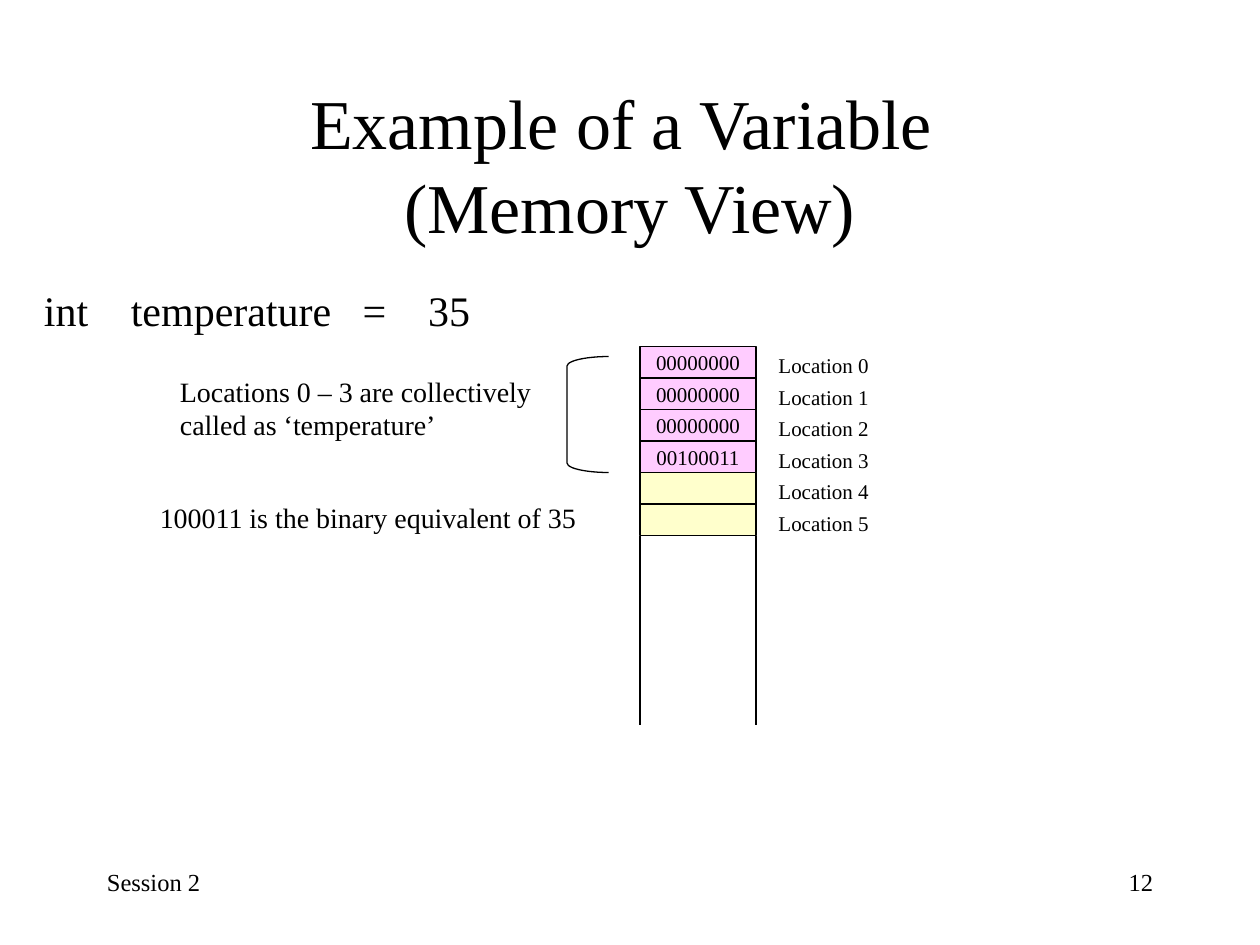
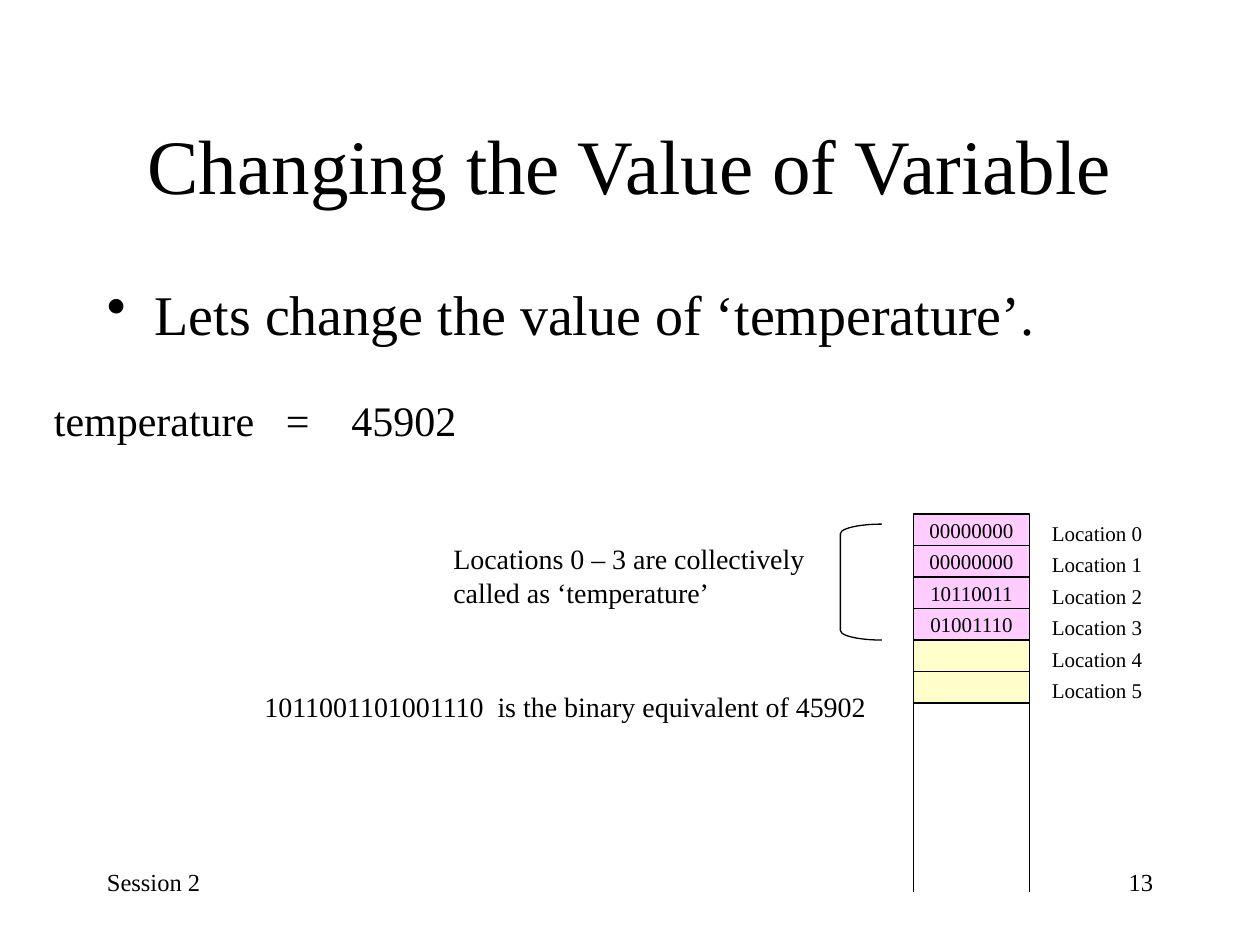
from lxml import etree
from pptx import Presentation
from pptx.dml.color import RGBColor
from pptx.enum.shapes import MSO_CONNECTOR as Connector, MSO_SHAPE as Shape
from pptx.enum.text import MSO_ANCHOR as Anchor, MSO_AUTO_SIZE as AutoSize, PP_ALIGN as Align
from pptx.oxml.ns import qn
from pptx.util import Inches, Pt

FONT = "Times New Roman"
INK, USED, FREE = "000000", "FFCCFF", "FFFFCC"
CELL_W, CELL_H, CELL_COUNT = 0.92, 0.25, 6
RAIL_H = 1.5


def color(hex_value):
    return RGBColor.from_string(hex_value)


def box(left, top, width, height):
    return [Inches(v) for v in (left, top, width, height)]


class Deck:
    """Holds the shared style and the slide being built."""

    def __init__(self):
        self.file = Presentation()
        self.file.slide_width, self.file.slide_height = Inches(10), Inches(7.5)
        self.slide = None

    def new_slide(self, title, size, number):
        self.slide = self.file.slides.add_slide(self.file.slide_layouts[6])
        # Footer and title
        self.text((0.75, 6.83, 2.08, 0.5), "Session 2", 14)
        self.text((7.17, 6.83, 2.08, 0.5), str(number), 14, alignment=Align.RIGHT)
        self.text((0.75, 0.67, 8.5, 1.25), title, size,
                  anchor=Anchor.MIDDLE, alignment=Align.CENTER)

    def fill_frame(self, frame, words, size, wrap=True, grow=False, anchor=Anchor.TOP,
                   **paragraph_format):
        frame.text = words
        frame_format = {"word_wrap": wrap, "vertical_anchor": anchor,
                        "auto_size": AutoSize.SHAPE_TO_FIT_TEXT if grow else AutoSize.NONE}
        for name, value in frame_format.items():
            setattr(frame, name, value)
        for paragraph in frame.paragraphs:
            for name, value in paragraph_format.items():
                setattr(paragraph, name, value)
            for run in paragraph.runs:
                for name, value in {"name": FONT, "size": Pt(size)}.items():
                    setattr(run.font, name, value)
                run.font.color.rgb = color(INK)

    def text(self, place, words, size, **text_format):
        frame = self.slide.shapes.add_textbox(*box(*place)).text_frame
        self.fill_frame(frame, words, size, **text_format)
        return frame.paragraphs[0]

    def tabbed(self, place, words, size, stops, **text_format):
        paragraph = self.text(place, words, size, **text_format)
        tabs = etree.SubElement(paragraph._p.get_or_add_pPr(), qn("a:tabLst"))
        for stop in stops:
            etree.SubElement(tabs, qn("a:tab"), pos=str(Inches(stop)), algn="l")

    def bullet(self, place, words, size, **text_format):
        properties = self.text(place, words, size, **text_format)._p.get_or_add_pPr()
        properties.set("marL", str(Inches(0.38)))
        properties.set("indent", str(-Inches(0.38)))
        etree.SubElement(properties, qn("a:buChar"), char="•")

    def shape(self, kind, place, fill=None):
        shape = self.slide.shapes.add_shape(kind, *box(*place))
        shape.shadow.inherit = False
        if fill:
            shape.fill.solid()
            shape.fill.fore_color.rgb = color(fill)
        else:
            shape.fill.background()
        shape.line.color.rgb = color(INK)
        shape.line.width = Pt(0.75)
        return shape

    def line(self, x1, y1, x2, y2):
        line = self.slide.shapes.add_connector(Connector.STRAIGHT, *box(x1, y1, x2, y2))
        line.line.color.rgb = color(INK)
        line.line.width = Pt(1)
        etree.SubElement(line._element.spPr, qn("a:effectLst"))

    def memory(self, left, top, stored_bytes):
        # Cells with their location labels
        for i in range(CELL_COUNT):
            y = top + i * CELL_H
            used = i < len(stored_bytes)
            cell = self.shape(Shape.RECTANGLE, (left, y, CELL_W, CELL_H), USED if used else FREE)
            if used:
                self.fill_frame(cell.text_frame, stored_bytes[i], 12, wrap=False,
                                anchor=Anchor.MIDDLE, alignment=Align.CENTER)
            self.text((left + 1, y, CELL_W, 0.3), f"Location {i}", 12, wrap=False, grow=True)

        # Open rails below the cells
        bottom = top + CELL_COUNT * CELL_H
        for x in (left + CELL_W, left):
            self.line(x, bottom, x, bottom + RAIL_H)

        # Bracket and its note
        bracket = self.shape(Shape.LEFT_BRACKET, (left - 0.58, top + 0.08, 0.33, 0.92))
        bracket.adjustments[0] = 0.23
        self.text((left - 3.75, top + 0.17, 3.06, 0.64),
                  "Locations 0 – 3 are collectively\ncalled as ‘temperature’",
                  16, wrap=False, grow=True)


def main():
    deck = Deck()

    # Declaring the variable
    deck.new_slide("Example of a Variable \v(Memory View)", 40, 12)
    deck.memory(5.08, 2.75, ["00000000"] * 3 + ["00100011"])
    deck.tabbed((0.25, 2.25, 3.92, 0.75), "int\ttemperature\t=\t35", 24, (0.69, 2.53, 3.05),
                line_spacing=0.9, space_before=Pt(3))
    deck.text((1.17, 3.92, 3.53, 0.37), "100011 is the binary equivalent of 35", 16,
              wrap=False, grow=True)

    # Changing its value
    deck.new_slide("Changing the Value of Variable", 44, 13)
    deck.bullet((0.75, 2.17, 8.5, 0.75), "Lets change the value of ‘temperature’.", 32,
                space_before=Pt(4))
    deck.tabbed((0.33, 3.08, 3.45, 0.5), "temperature\t=\t45902", 24, (1.84, 2.36), grow=True)
    deck.memory(7.25, 4.08, ["00000000"] * 2 + ["10110011", "01001110"])
    deck.tabbed((2, 5.42, 5.08, 0.37), "1011001101001110\tis the binary equivalent of 45902",
                16, (1.85,), grow=True)

    deck.file.save("out.pptx")


if __name__ == "__main__":
    main()
